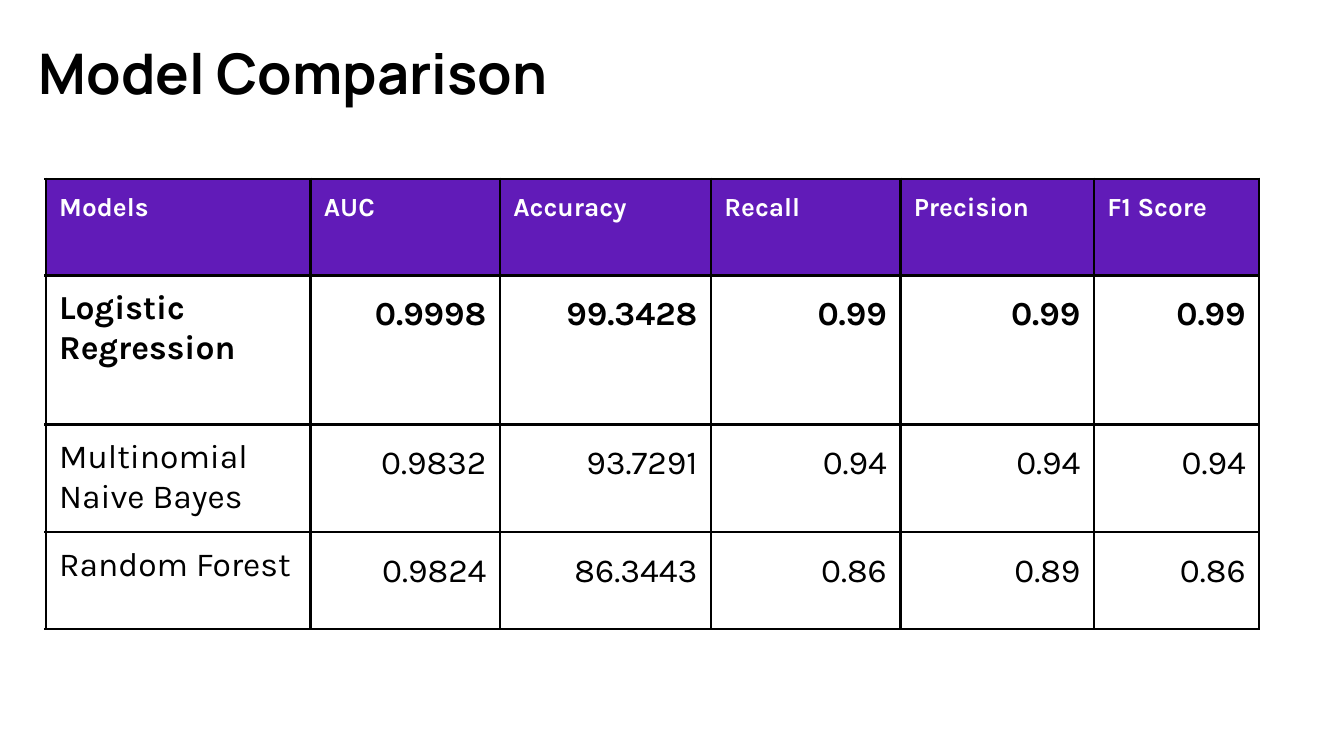
import pptx
import pptx.dml.color
import pptx.enum.text
import pptx.oxml
import pptx.oxml.ns
import pptx.util

WIDTH = 10
HEIGHT = WIDTH * 9 / 16
INSET = pptx.util.Inches(0.1)
BLACK, WHITE, PURPLE = "000000", "FFFFFF", "611BB8"
COLUMNS = [1.97, 1.41, 1.57, 1.41, 1.44, 1.23]
ROWS = [0.72, 1.11, 0.72, 0.72]
RESULTS = [
    ["Models", "AUC", "Accuracy", "Recall", "Precision", "F1 Score"],
    ["Logistic Regression", "0.9998", "99.3428", "0.99", "0.99", "0.99"],
    ["Multinomial Naive Bayes", "0.9832", "93.7291", "0.94", "0.94", "0.94"],
    ["Random Forest", "0.9824", "86.3443", "0.86", "0.89", "0.86"],
]


def rgb(color):
    """Turn a hex string into a colour."""
    return pptx.dml.color.RGBColor.from_string(color)


def add_run(p, text, font, size, color, bold):
    """Add one styled run to a paragraph."""
    r = p.add_run()
    r.text = text
    r.font.name = font
    r.font.size = pptx.util.Pt(size)
    r.font.bold = bold
    r.font.color.rgb = rgb(color)


def set_margins(area):
    """Give a text frame or cell equal margins."""
    area.margin_left = area.margin_right = INSET
    area.margin_top = area.margin_bottom = INSET


def set_borders(cell):
    """Draw a black line on all four sides of a cell."""
    tcPr = cell._tc.get_or_add_tcPr()
    for side in "LRTB":
        tcPr.append(pptx.oxml.parse_xml(
            f'<a:ln{side} {pptx.oxml.ns.nsdecls("a")} w="{pptx.util.Pt(1.5)}">'
            f'<a:solidFill><a:srgbClr val="{BLACK}"/></a:solidFill></a:ln{side}>'))


def add_title(s, box, text):
    """Place the slide title in its box."""
    tf = s.shapes.add_textbox(*box).text_frame
    tf.word_wrap = True
    tf.vertical_anchor = pptx.enum.text.MSO_ANCHOR.MIDDLE
    set_margins(tf)
    add_run(tf.paragraphs[0], text, "Manrope", 30, BLACK, True)


def fill_cell(cell, text, row, col):
    """Style one cell by its place in the table."""
    header = row == 0
    set_margins(cell)
    set_borders(cell)
    if header:
        cell.fill.solid()
        cell.fill.fore_color.rgb = rgb(PURPLE)
    else:
        cell.fill.background()
    p = cell.text_frame.paragraphs[0]
    if not header and col > 0:
        p.alignment = pptx.enum.text.PP_ALIGN.RIGHT
        p.line_spacing = 1.15
    add_run(p, text, "Karla", 14 if header else 18, WHITE if header else BLACK, row < 2)


def add_results(s, box, results):
    """Place the results table, sharing its box among columns and rows."""
    table = s.shapes.add_table(len(ROWS), len(COLUMNS), *box).table
    table.first_row = table.horz_banding = False
    for column, share in zip(table.columns, COLUMNS):
        column.width = int(box[2] * share / sum(COLUMNS))
    for row, share in zip(table.rows, ROWS):
        row.height = int(box[3] * share / sum(ROWS))
    for i, values in enumerate(results):
        for j, text in enumerate(values):
            fill_cell(table.cell(i, j), text, i, j)


def main():
    """Build and save the slide."""
    prs = pptx.Presentation()
    prs.slide_width = pptx.util.Inches(WIDTH)
    prs.slide_height = pptx.util.Inches(HEIGHT)
    s = prs.slides.add_slide(prs.slide_layouts[6])
    add_title(s, [pptx.util.Inches(v) for v in (0.19, 0.2, 9.32, 0.68)], "Model Comparison")
    table_box = (0.34, 1.33, sum(COLUMNS), sum(ROWS))
    add_results(s, [pptx.util.Inches(v) for v in table_box], RESULTS)
    prs.save("out.pptx")


if __name__ == "__main__":
    main()
